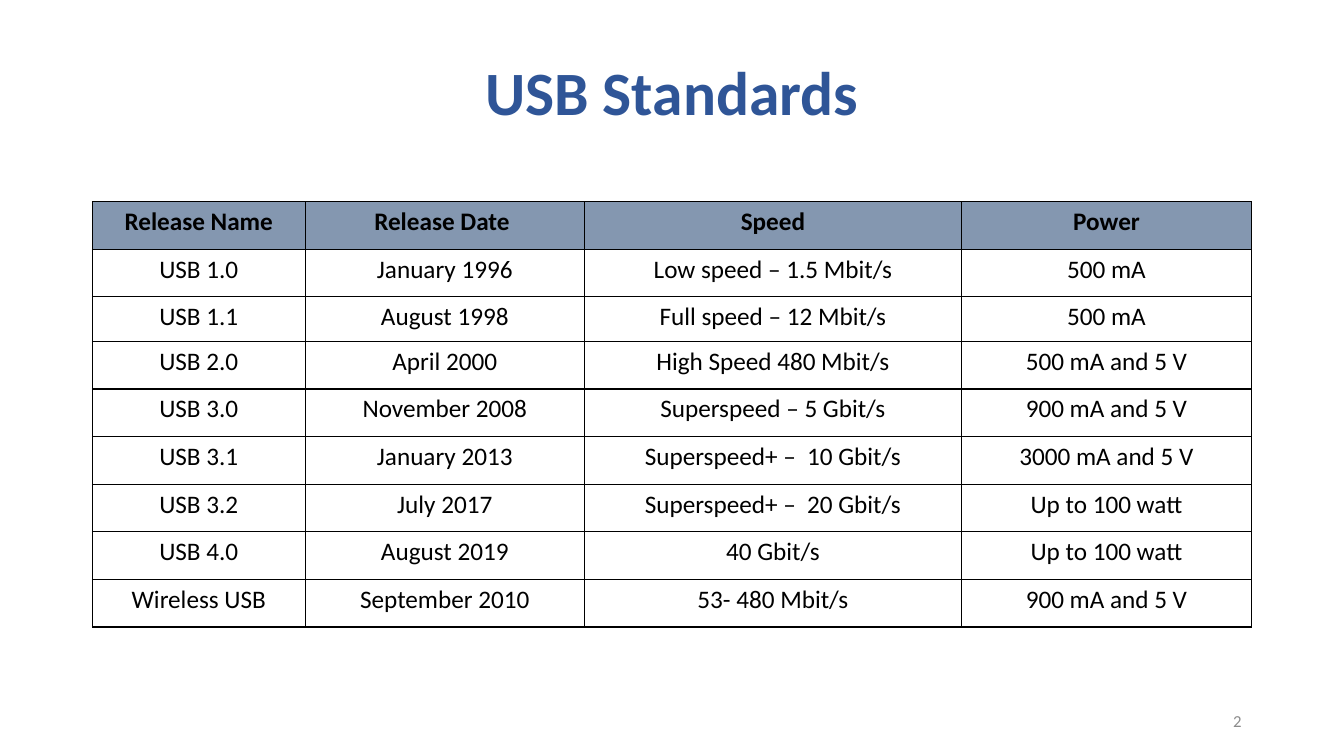
from lxml import etree
from pptx import Presentation
from pptx import util as u
from pptx.dml.color import RGBColor
from pptx.enum import text
from pptx.oxml import ns

BLUE = RGBColor(0x2F, 0x55, 0x97)
SLATE = RGBColor(0x84, 0x97, 0xB0)
GREY = RGBColor(0x8C, 0x8C, 0x8C)
BLACK = RGBColor(0, 0, 0)

COLUMN_WIDTHS = [5.36, 7.04, 9.5, 7.31]
ROW_HEIGHT = 1.2
SHORT_ROW = 2
SHORT_HEIGHT = 1.12
STANDARDS = [
    ("Release Name", "Release Date ", "Speed", "Power"),
    ("USB 1.0", "January 1996", "Low speed – 1.5 Mbit/s", "500 mA"),
    ("USB 1.1", "August 1998", "Full speed – 12 Mbit/s", "500 mA"),
    ("USB 2.0", "April 2000", "High Speed 480 Mbit/s", "500 mA and 5 V"),
    ("USB 3.0", "November 2008", "Superspeed – 5 Gbit/s", "900 mA and 5 V"),
    ("USB 3.1", "January 2013", "Superspeed+ –  10 Gbit/s", "3000 mA and 5 V"),
    ("USB 3.2", "July 2017", "Superspeed+ –  20 Gbit/s", "Up to 100 watt"),
    ("USB 4.0", "August 2019", "40 Gbit/s", "Up to 100 watt"),
    ("Wireless USB", "September 2010", "53- 480 Mbit/s", "900 mA and 5 V"),
]


class SlideBuilder:
    """Draws styled elements on the current page."""

    font = "Calibri"
    border_width = u.Pt(1)

    def __init__(self, page):
        self.page = page

    def add_span(self, para, words, size, color, align, bold=False):
        para.alignment = align
        span = para.add_run()
        span.text = words
        span.font.name = self.font
        span.font.size = u.Pt(size)
        span.font.bold = bold
        span.font.color.rgb = color

    def label(self, words, left, top, width, height, size, color, align,
              bold=False, spacing=1.0):
        box = self.page.shapes.add_textbox(
            u.Cm(left), u.Cm(top), u.Cm(width), u.Cm(height))
        frame = box.text_frame
        frame.word_wrap = True
        frame.vertical_anchor = text.MSO_ANCHOR.MIDDLE
        para = frame.paragraphs[0]
        para.line_spacing = spacing
        self.add_span(para, words, size, color, align, bold)

    def outline(self, cell):
        properties = cell._tc.get_or_add_tcPr()
        for index, side in enumerate(("lnL", "lnR", "lnT", "lnB")):
            line = etree.Element(ns.qn(f"a:{side}"), w=str(self.border_width))
            fill = etree.SubElement(line, ns.qn("a:solidFill"))
            etree.SubElement(fill, ns.qn("a:srgbClr"), val=str(BLACK))
            properties.insert(index, line)

    def table(self, rows, left, top, widths, heights):
        table = self.page.shapes.add_table(
            len(rows), len(widths), u.Cm(left), u.Cm(top),
            u.Cm(sum(widths)), u.Cm(sum(heights))).table
        table.horz_banding = False
        for column, width in zip(table.columns, widths):
            column.width = u.Cm(width)
        for index, (row, height) in enumerate(zip(table.rows, heights)):
            row.height = u.Cm(height)
            header = index == 0
            for cell, words in zip(row.cells, rows[index]):
                if header:
                    cell.fill.solid()
                    cell.fill.fore_color.rgb = SLATE
                else:
                    cell.fill.background()
                self.outline(cell)
                self.add_span(cell.text_frame.paragraphs[0], words, 18, BLACK,
                              text.PP_ALIGN.CENTER, header)


def main():
    deck = Presentation()
    deck.slide_width = u.Cm(33.87)
    deck.slide_height = u.Cm(19.05)
    builder = SlideBuilder(deck.slides.add_slide(deck.slide_layouts[6]))
    builder.label("USB Standards", 2.33, 1.01, 29.21, 2.82, 44, BLUE,
                  text.PP_ALIGN.CENTER, bold=True, spacing=0.9)
    builder.label("2", 23.92, 17.66, 7.62, 1.01, 12, GREY, text.PP_ALIGN.RIGHT)
    heights = [SHORT_HEIGHT if index == SHORT_ROW else ROW_HEIGHT
               for index in range(len(STANDARDS))]
    builder.table(STANDARDS, 2.33, 5.08, COLUMN_WIDTHS, heights)
    deck.save("out.pptx")


if __name__ == "__main__":
    main()
